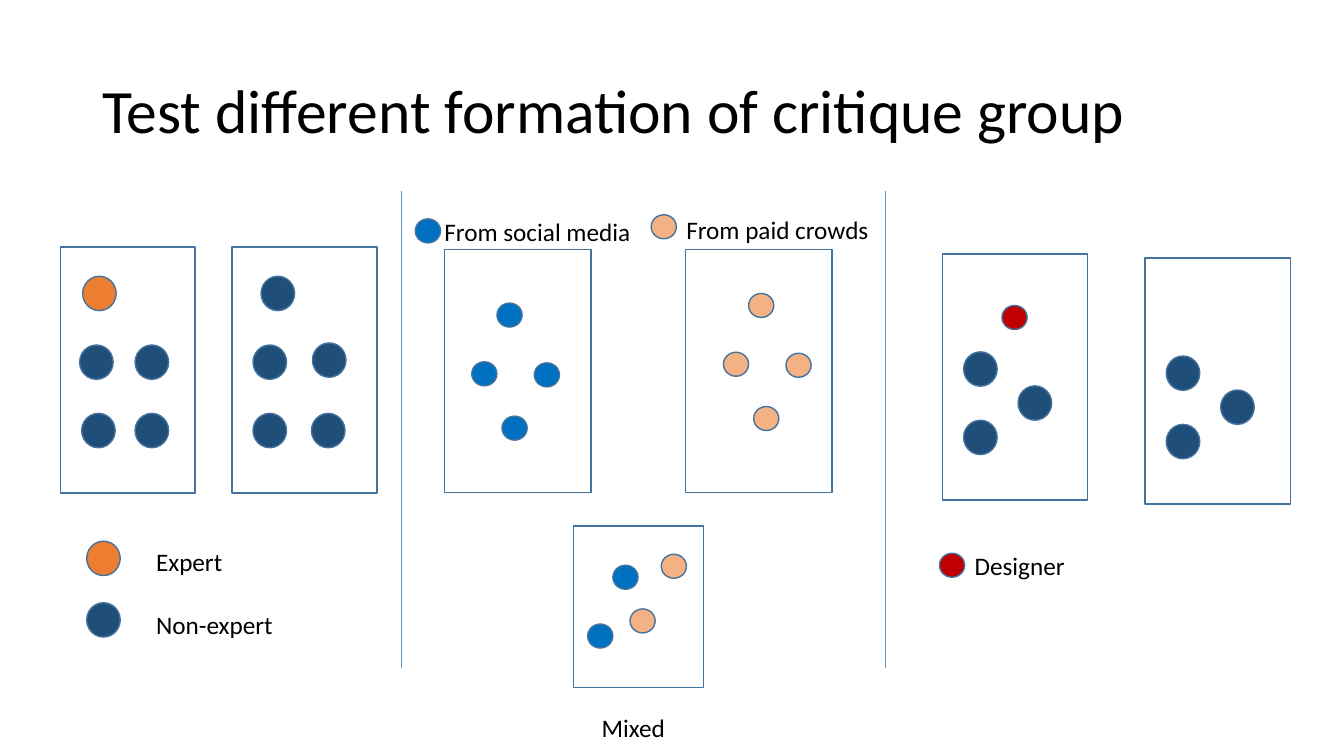
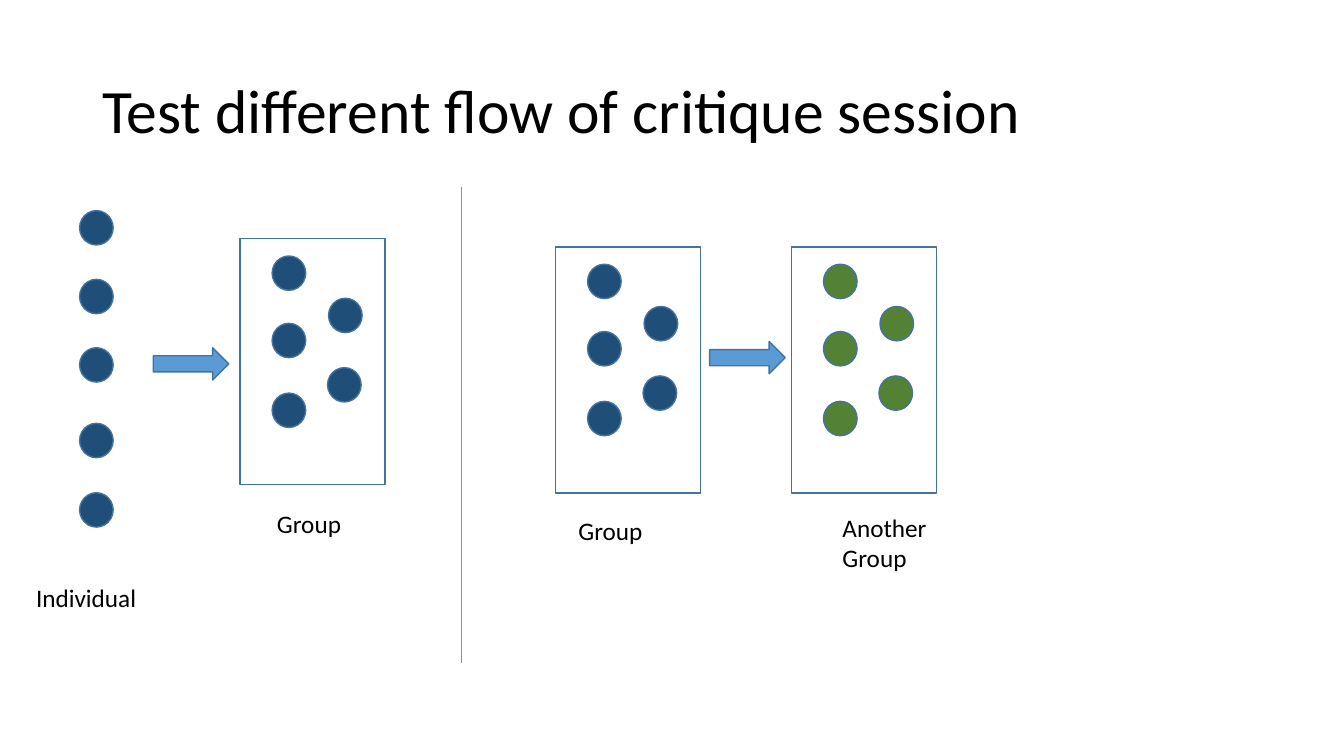
from dataclasses import dataclass

from lxml.etree import SubElement
from pptx import Presentation
from pptx.dml.color import RGBColor as Rgb
from pptx.enum.shapes import MSO_CONNECTOR as Link, MSO_SHAPE as Kind
from pptx.enum.text import MSO_ANCHOR as Anchor, MSO_AUTO_SIZE as Fit
from pptx.oxml.ns import qn
from pptx.slide import Slide
from pptx.util import Inches, Pt

WIDTH, HEIGHT = Inches(13.33), Inches(7.5)
COLS, ROWS = 40, 22  # one cell holds one large dot
FONT = "Calibri"
INK = {
    "text": "000000",
    "edge": "43739E",
    "rule": "5B9BD5",
    "expert": "ED7D31",
    "novice": "1F4E79",
    "social": "0070C0",
    "paid": "F4B183",
    "maker": "C00000",
    "other": "548235",
}
LARGE, SMALL = (1, 1), (0.75, 0.7)
SIZE = {"social": SMALL, "paid": SMALL, "maker": SMALL}
Spot = tuple[float, float]


@dataclass(frozen=True)
class Dots:
    ink: str
    spots: list[Spot]
    shift: Spot = (0, 0)


@dataclass(frozen=True)
class Group:
    """A framed set of dots, whose spots count from the frame's corner."""
    x: float
    y: float
    dots: list[Dots]
    w: float = 4.32
    h: float = 7.16


@dataclass(frozen=True)
class Label:
    text: str
    x: float
    y: float
    w: float = 9.39
    h: float = 1.17


@dataclass(frozen=True)
class Page:
    title: str
    groups: list[Group]
    dots: list[Dots]
    labels: list[Label]
    rules: list[Spot]
    arrows: list[Spot]


DIAMOND = [(1.56, 1.55), (0.81, 3.26), (2.67, 3.29), (1.71, 4.84)]
TRIO = [(2.25, 3.84), (0.63, 2.85), (0.63, 4.84)]
FIVE = [(0.96, 0.5), (0.96, 2.46), (2.64, 1.73), (2.61, 3.75), (0.96, 4.49)]

PAGES = [
    Page(
        "Test different formation of critique group",
        groups=[
            Group(1.8, 7.19, [
                Dots("expert", [(0.66, 0.85)]),
                Dots("novice", [(0.57, 2.85), (2.22, 2.85),
                                (0.63, 4.84), (2.22, 4.84)]),
            ], w=4),
            Group(6.9, 7.19, [
                Dots("novice", [(0.87, 0.85), (0.63, 2.85), (2.4, 2.79),
                                (2.37, 4.84), (0.63, 4.84)]),
            ]),
            Group(13.23, 7.27, [Dots("social", DIAMOND)], 4.36, 7.07),
            Group(20.4, 7.27, [Dots("paid", DIAMOND, (0.32, -0.28))],
                  4.36, 7.07),
            Group(17.07, 15.31, [
                Dots("social", [(1.17, 1.14), (0.42, 2.85)]),
                Dots("paid", [(2.61, 0.82), (1.68, 2.41)]),
            ], 3.87, 4.69),
            Group(28.05, 7.39, [Dots("novice", TRIO),
                                Dots("maker", [(1.77, 1.5)])]),
            Group(34.08, 7.51, [Dots("novice", TRIO)]),
        ],
        dots=[
            Dots("expert", [(2.58, 15.75)]),
            Dots("novice", [(2.58, 17.54)]),
            Dots("social", [(12.36, 6.37)]),
            Dots("paid", [(19.38, 6.25)]),
            Dots("maker", [(27.96, 16.1)]),
        ],
        labels=[
            Label("Expert", 4.35, 15.75),
            Label("Non-expert", 4.35, 17.6),
            Label("From social media", 12.93, 6.16, 6.51),
            Label("From paid crowds", 20.13, 6.1),
            Label("Mixed", 17.61, 20.59, 6.87),
            Label("Designer", 28.71, 15.87),
        ],
        rules=[(11.94, 5.57), (26.34, 5.57)],
        arrows=[],
    ),
    Page(
        "Test different flow of critique session",
        groups=[
            Group(7.14, 6.95, [Dots("novice", FIVE)]),
            Group(16.53, 7.19, [Dots("novice", FIVE)]),
            Group(23.55, 7.19, [Dots("other", FIVE)]),
        ],
        dots=[Dots("novice", [(2.37, y) for y in
                              (6.13, 8.13, 10.12, 12.32, 14.34)])],
        labels=[
            Label("Individual", 0.78, 16.81, 4.65),
            Label("Group", 7.95, 14.64, 4.65),
            Label("Group", 16.92, 14.84, 4.65),
            Label("Another Group", 24.78, 14.75, 4.65, 2.08),
        ],
        rules=[(13.74, 5.43)],
        arrows=[(4.56, 10.12), (21.12, 9.94)],
    ),
]


def cells(x: float, y: float) -> tuple[int, int]:
    """Turn columns and rows into slide lengths."""
    return round(x * WIDTH / COLS), round(y * HEIGHT / ROWS)


def hue(ink: str) -> Rgb:
    return Rgb.from_string(INK[ink])


def form(slide: Slide, kind: Kind, at: Spot, size: Spot,
         ink: str | None = None) -> None:
    """Draw an outlined shape, hollow when no ink is given."""
    shape = slide.shapes.add_shape(kind, *cells(*at), *cells(*size))
    shape.shadow.inherit = False
    shape.line.color.rgb = hue("edge")
    shape.line.width = Pt(1)
    if ink:
        shape.fill.solid()
        shape.fill.fore_color.rgb = hue(ink)
    else:
        shape.fill.background()


def write(slide: Slide, label: Label, size: int = 18,
          title: bool = False) -> None:
    box = slide.shapes.add_textbox(*cells(label.x, label.y),
                                   *cells(label.w, label.h))
    frame = box.text_frame
    frame.word_wrap = True
    frame.auto_size = Fit.NONE if title else Fit.SHAPE_TO_FIT_TEXT
    frame.vertical_anchor = Anchor.MIDDLE if title else Anchor.TOP
    para = frame.paragraphs[0]
    para.text = label.text
    para.font.name = FONT
    para.font.size = Pt(size)
    para.font.color.rgb = hue("text")
    if title:
        para.line_spacing = 0.9


def spread(slide: Slide, dots: Dots, x: float = 0, y: float = 0) -> None:
    """Draw dots of one ink, counted from the given corner."""
    dx, dy = dots.shift
    for col, row in dots.spots:
        form(slide, Kind.OVAL, (x + dx + col, y + dy + row),
             SIZE.get(dots.ink, LARGE), dots.ink)


def rule(slide: Slide, x: float, y: float) -> None:
    line = slide.shapes.add_connector(Link.STRAIGHT, *cells(x, y),
                                      *cells(x, y + 13.87))
    line.line.color.rgb = hue("rule")
    line.line.width = Pt(0.5)
    SubElement(line._element.spPr, qn("a:effectLst"))


def draw(slide: Slide, page: Page) -> None:
    write(slide, Label(page.title, 2.75, 1.17, 34.5, 4.25), 44, title=True)
    for group in page.groups:
        form(slide, Kind.RECTANGLE, (group.x, group.y), (group.w, group.h))
        for dots in group.dots:
            spread(slide, dots, group.x, group.y)
    for dots in page.dots:
        spread(slide, dots)
    for label in page.labels:
        write(slide, label)
    for spot in page.rules:
        rule(slide, *spot)
    for spot in page.arrows:
        form(slide, Kind.RIGHT_ARROW, spot, (2.25, 0.94), "rule")


def main() -> None:
    deck = Presentation()
    deck.slide_width, deck.slide_height = WIDTH, HEIGHT
    for page in PAGES:
        draw(deck.slides.add_slide(deck.slide_layouts[6]), page)
    deck.save("out.pptx")


if __name__ == "__main__":
    main()
